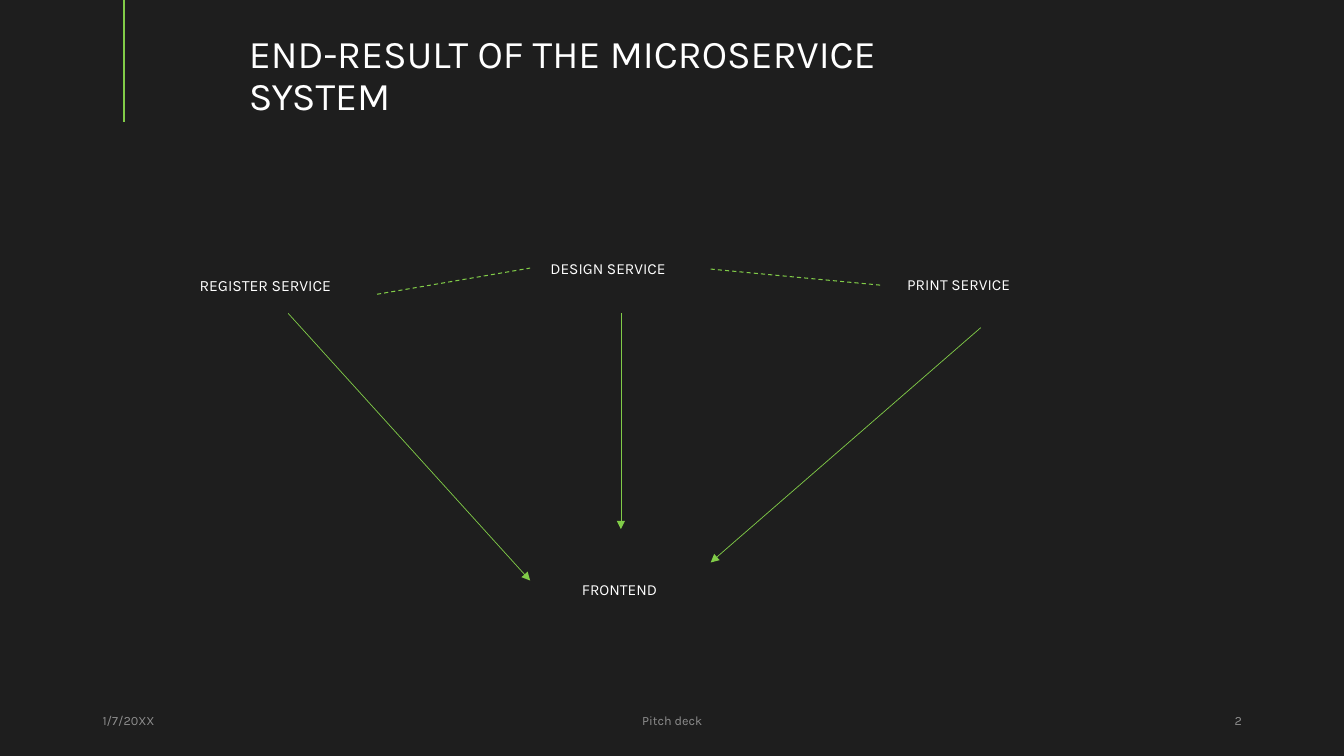
"""Build the slide on the end result of the microservice system."""
from dataclasses import dataclass

from lxml import etree
from pptx import Presentation
from pptx.dml.color import RGBColor
from pptx.enum.dml import MSO_LINE
from pptx.enum.shapes import MSO_CONNECTOR
from pptx.enum.text import MSO_ANCHOR, MSO_AUTO_SIZE, PP_ALIGN
from pptx.oxml.ns import qn
from pptx.util import Pt

STRAIGHT = MSO_CONNECTOR.STRAIGHT
DASH = MSO_LINE.DASH
TOP, MIDDLE = MSO_ANCHOR.TOP, MSO_ANCHOR.MIDDLE
LEFT, CENTER, RIGHT = PP_ALIGN.LEFT, PP_ALIGN.CENTER, PP_ALIGN.RIGHT
NO_FIT = MSO_AUTO_SIZE.NONE
COMPARISON_LAYOUT = 4


@dataclass(frozen=True)
class Theme:
    """Hold the colours, font and type sizes of the slide."""
    background: RGBColor = RGBColor(0x1E, 0x1E, 0x1E)
    text: RGBColor = RGBColor(0xFF, 0xFF, 0xFF)
    muted: RGBColor = RGBColor(0x8E, 0x8E, 0x8E)
    accent: RGBColor = RGBColor(0x81, 0xCC, 0x48)
    font: str = "Karla"
    title_size: float = 28
    label_size: float = 11
    register_size: float = 11.2
    footer_size: float = 9


THEME = Theme()

SERVICES = [
    ("REGISTER SERVICE", (142.6, 197.3, 127.4, 27.4), THEME.register_size, TOP, 0.7),
    ("DESIGN SERVICE", (393.1, 180, 114.5, 25.2), THEME.label_size, MIDDLE, 0.9),
    ("PRINT SERVICE", (648, 191.5, 105.8, 25.2), THEME.label_size, MIDDLE, 0.9),
    ("FRONTEND", (415.7, 397.4, 104.4, 48.2), THEME.label_size, MIDDLE, 0.9),
]
FOOTERS = [
    ("1/7/20XX", (66.2, 500.4, 216, 28.8), LEFT),
    ("Pitch deck", (318.2, 500.4, 324, 28.8), CENTER),
    ("2", (678.2, 500.4, 216, 28.8), RIGHT),
]
FRONTEND_ARROWS = [
    (205.9, 223.9, 378.7, 414.7),
    (443.5, 223.9, 443.5, 378),
    (700.6, 234, 507.6, 401.8),
]
SERVICE_LINKS = [
    (269.3, 210.2, 378.7, 191.5),
    (507.6, 192.2, 630, 203.8),
]


def apply_format(target, values):
    """Set every named attribute of the target."""
    for name, value in values.items():
        setattr(target, name, value)


def place(shape, box):
    """Move and size a shape, in points."""
    names = ("left", "top", "width", "height")
    apply_format(shape, dict(zip(names, map(Pt, box))))


def write_text(shape, text, size, color, frame_format, paragraph_format):
    """Write one formatted paragraph into a shape."""
    frame = shape.text_frame
    frame.text = text
    apply_format(frame, {"word_wrap": True, "auto_size": NO_FIT,
                         "vertical_anchor": MIDDLE, **frame_format})
    paragraph = frame.paragraphs[0]
    apply_format(paragraph, {"alignment": LEFT, **paragraph_format})
    font = paragraph.runs[0].font
    apply_format(font, {"name": THEME.font, "size": Pt(size), "bold": False})
    font.color.rgb = color
    return paragraph


def fill_placeholder(shape, text, box, size, anchor=MIDDLE, line_spacing=0.9, space_before=0):
    """Fill a template placeholder without a bullet."""
    place(shape, box)
    paragraph = write_text(
        shape, text, size, THEME.text,
        {"vertical_anchor": anchor, "margin_left": 0, "margin_right": Pt(7.2),
         "margin_top": Pt(3.6), "margin_bottom": Pt(3.6)},
        {"line_spacing": line_spacing, "space_before": Pt(space_before)})
    properties = paragraph._p.get_or_add_pPr()
    properties.set("marL", "0")
    properties.set("indent", "0")
    etree.SubElement(properties, qn("a:buNone"))


def add_footer(slide, text, box, alignment):
    """Add one small muted text at the foot of the slide."""
    shape = slide.shapes.add_textbox(*map(Pt, box))
    write_text(shape, text, THEME.footer_size, THEME.muted, {}, {"alignment": alignment})


def add_line(slide, ends, width, dash=None, arrow=False):
    """Add a straight accent line, dashed or with an arrowhead if asked."""
    connector = slide.shapes.add_connector(STRAIGHT, *map(Pt, ends))
    line = connector.line
    line.color.rgb = THEME.accent
    apply_format(line, {"width": Pt(width), "dash_style": dash})
    properties = connector._element.spPr
    etree.SubElement(properties, qn("a:effectLst"))
    if arrow:
        etree.SubElement(properties.find(qn("a:ln")), qn("a:tailEnd"), type="triangle")


def main():
    """Build and save the presentation."""
    presentation = Presentation()
    apply_format(presentation, {"slide_width": Pt(960), "slide_height": Pt(540)})
    slide = presentation.slides.add_slide(presentation.slide_layouts[COMPARISON_LAYOUT])
    background = slide.background.fill
    background.solid()
    background.fore_color.rgb = THEME.background

    add_line(slide, (88.6, 0, 88.6, 87.1), 1.5)
    title, *labels = slide.placeholders
    fill_placeholder(title, "END-RESULT OF THE MICROSERVICE SYSTEM",
                     (177.8, 18.7, 544.3, 72.7), THEME.title_size)
    for label, service in zip(labels, SERVICES):
        fill_placeholder(label, *service, space_before=10)
    for footer in FOOTERS:
        add_footer(slide, *footer)
    for ends in FRONTEND_ARROWS:
        add_line(slide, ends, 0.5, arrow=True)
    for ends in SERVICE_LINKS:
        add_line(slide, ends, 0.75, dash=DASH)
    presentation.save("out.pptx")


main()
